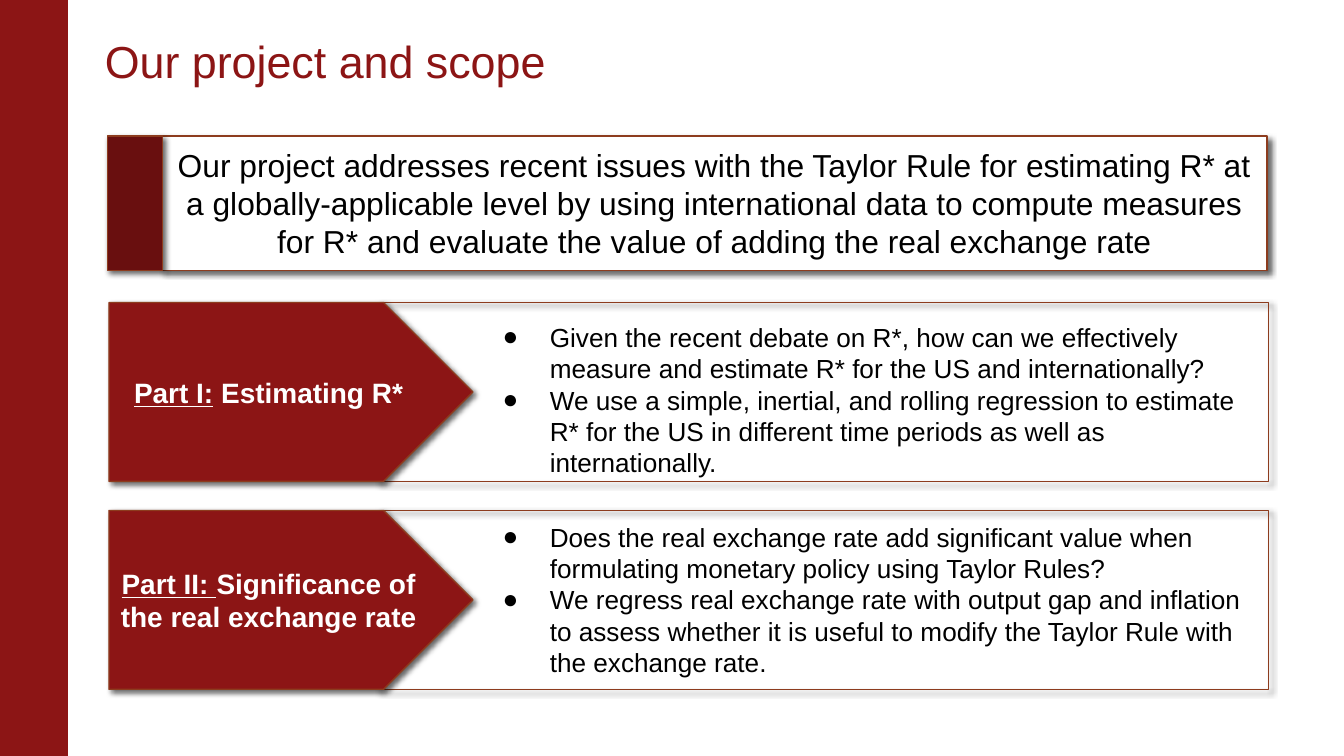
from dataclasses import dataclass

from lxml.etree import SubElement
from pptx import Presentation
from pptx.dml.color import RGBColor
from pptx.enum.shapes import MSO_SHAPE
from pptx.enum.text import MSO_ANCHOR, MSO_AUTO_SIZE, PP_ALIGN
from pptx.oxml.ns import qn
from pptx.shapes.autoshape import Shape
from pptx.shapes.shapetree import GroupShapes
from pptx.text.text import TextFrame, _Paragraph, _Run
from pptx.util import Cm, Pt

COLORS = {
    "cardinal": "8C1515",
    "maroon": "690F0F",
    "border": "8D3C1E",
    "white": "FFFFFF",
    "black": "000000",
}
FONT = "Arial"


@dataclass(frozen=True)
class Box:
    left: float
    top: float
    width: float
    height: float

    def lengths(self) -> tuple[Cm, Cm, Cm, Cm]:
        return Cm(self.left), Cm(self.top), Cm(self.width), Cm(self.height)


@dataclass(frozen=True)
class Part:
    top: float
    label: str
    topic: str
    points: tuple[str, ...]
    points_top: float
    points_height: float


PARTS = [
    Part(
        5.72, "Part I:", " Estimating R*",
        (
            "Given the recent debate on R*, how can we effectively measure and "
            "estimate R* for the US and internationally?",
            "We use a simple, inertial, and rolling regression to estimate R* for "
            "the US in different time periods as well as internationally.",
        ),
        5.97, 3.78,
    ),
    Part(
        9.65, "Part II: ", "Significance of the real exchange rate",
        (
            "Does the real exchange rate add significant value when formulating "
            "monetary policy using Taylor Rules?",
            "We regress real exchange rate with output gap and inflation to assess "
            "whether it is useful to modify the Taylor Rule with the exchange rate.",
        ),
        9.75, 3.18,
    ),
]
PART_HEIGHT = 3.38
SCOPE = (
    "Our project addresses recent issues with the Taylor Rule for estimating R* at "
    "a globally-applicable level by using international data to compute measures "
    "for R* and evaluate the value of adding the real exchange rate"
)


def rgb(name: str) -> RGBColor:
    return RGBColor.from_string(COLORS[name])


def add_run(paragraph: _Paragraph, text: str, size: int, color: str) -> _Run:
    run = paragraph.add_run()
    run.text = text
    run.font.name = FONT
    run.font.size = Pt(size)
    run.font.color.rgb = rgb(color)
    return run


def set_frame(frame: TextFrame, anchor: MSO_ANCHOR, left_inset: float = 0.18) -> None:
    frame.word_wrap = True
    frame.auto_size = MSO_AUTO_SIZE.NONE
    frame.vertical_anchor = anchor
    frame.margin_left, frame.margin_right = Cm(left_inset), Cm(0.18)
    frame.margin_top = frame.margin_bottom = Cm(0.1)


def add_shadow(shape: Shape) -> None:
    effects = shape._element.spPr.find(qn("a:effectLst"))
    shadow = SubElement(
        effects, qn("a:outerShdw"), blurRad=str(Pt(3)), dist=str(Pt(2)),
        dir=str(45 * 60000), algn="ctr", rotWithShape="0",
    )
    color = SubElement(shadow, qn("a:srgbClr"), val=COLORS["black"])
    SubElement(color, qn("a:alpha"), val="60000")


def draw_block(
    shapes: GroupShapes, box: Box, fill: str | None, line: str = "border",
    kind: MSO_SHAPE = MSO_SHAPE.RECTANGLE, shadowed: bool = True,
) -> Shape:
    block = shapes.add_shape(kind, *box.lengths())
    if fill:
        block.fill.solid()
        block.fill.fore_color.rgb = rgb(fill)
    else:
        block.fill.background()
    block.line.color.rgb = rgb(line)
    block.line.width = Pt(0.75)
    block.shadow.inherit = False
    if shadowed:
        add_shadow(block)
    set_frame(block.text_frame, MSO_ANCHOR.MIDDLE)
    block.text_frame.paragraphs[0].alignment = PP_ALIGN.CENTER
    return block


def place(placeholder: Shape, box: Box) -> None:
    (placeholder.left, placeholder.top,
     placeholder.width, placeholder.height) = box.lengths()


def draw_heading(shapes: GroupShapes, part: Part) -> None:
    draw_block(shapes, Box(7.14, part.top, 16.84, PART_HEIGHT), None)
    arrow = draw_block(
        shapes, Box(2.06, part.top, 6.88, PART_HEIGHT), "cardinal",
        kind=MSO_SHAPE.PENTAGON,
    )
    heading = arrow.text_frame.paragraphs[0]
    for text, underlined in ((part.label, True), (part.topic, False)):
        run = add_run(heading, text, 15, "white")
        run.font.bold = True
        run.font.underline = underlined


def add_bullet(paragraph: _Paragraph) -> None:
    properties = paragraph._p.get_or_add_pPr()
    properties.set("marL", str(Cm(1.27)))
    properties.set("indent", str(Cm(-0.89)))
    color = SubElement(properties, qn("a:buClr"))
    SubElement(color, qn("a:srgbClr"), val=COLORS["black"])
    SubElement(properties, qn("a:buFont"), typeface=FONT)
    SubElement(properties, qn("a:buChar"), char="●")


def fill_points(body: Shape, part: Part) -> None:
    place(body, Box(8.94, part.points_top, 14.99, part.points_height))
    frame = body.text_frame
    set_frame(frame, MSO_ANCHOR.TOP)
    for number, point in enumerate(part.points):
        paragraph = frame.add_paragraph() if number else frame.paragraphs[0]
        add_bullet(paragraph)
        paragraph.space_before = Pt(0)
        add_run(paragraph, point, 14, "black")


def main() -> None:
    deck = Presentation()
    deck.slide_width, deck.slide_height = Cm(25.4), Cm(14.29)
    slide = deck.slides.add_slide(deck.slide_layouts.get_by_name("Two Content"))

    draw_block(slide.shapes, Box(0, 0, 1.27, 14.29), "cardinal", "cardinal",
               shadowed=False)

    title = slide.shapes.title
    place(title, Box(1.98, 0.74, 16.05, 1.02))
    set_frame(title.text_frame, MSO_ANCHOR.BOTTOM, left_inset=0)
    headline = title.text_frame.paragraphs[0]
    headline.alignment = PP_ALIGN.LEFT
    headline.line_spacing = 0.85
    add_run(headline, "Our project and scope", 24, "cardinal")

    for index, part in enumerate(PARTS, start=1):
        draw_heading(slide.shapes.add_group_shape().shapes, part)
        fill_points(slide.placeholders[index], part)

    banner = slide.shapes.add_group_shape().shapes
    scope = draw_block(banner, Box(3.07, 2.57, 20.88, 2.54), "white")
    add_run(scope.text_frame.paragraphs[0], SCOPE, 17, "black")
    draw_block(banner, Box(2.03, 2.57, 1.04, 2.54), "maroon")

    deck.save("out.pptx")


if __name__ == "__main__":
    main()
